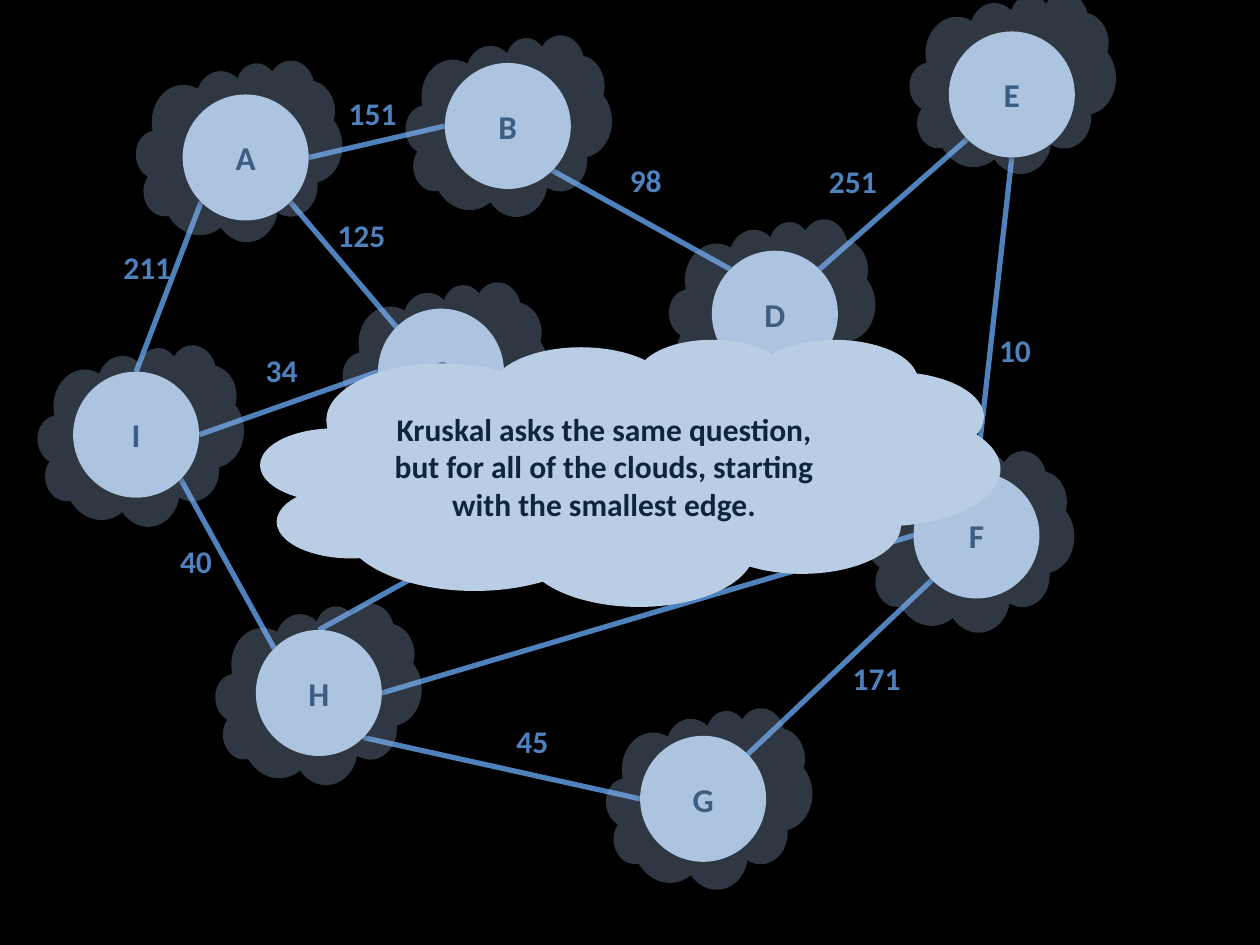
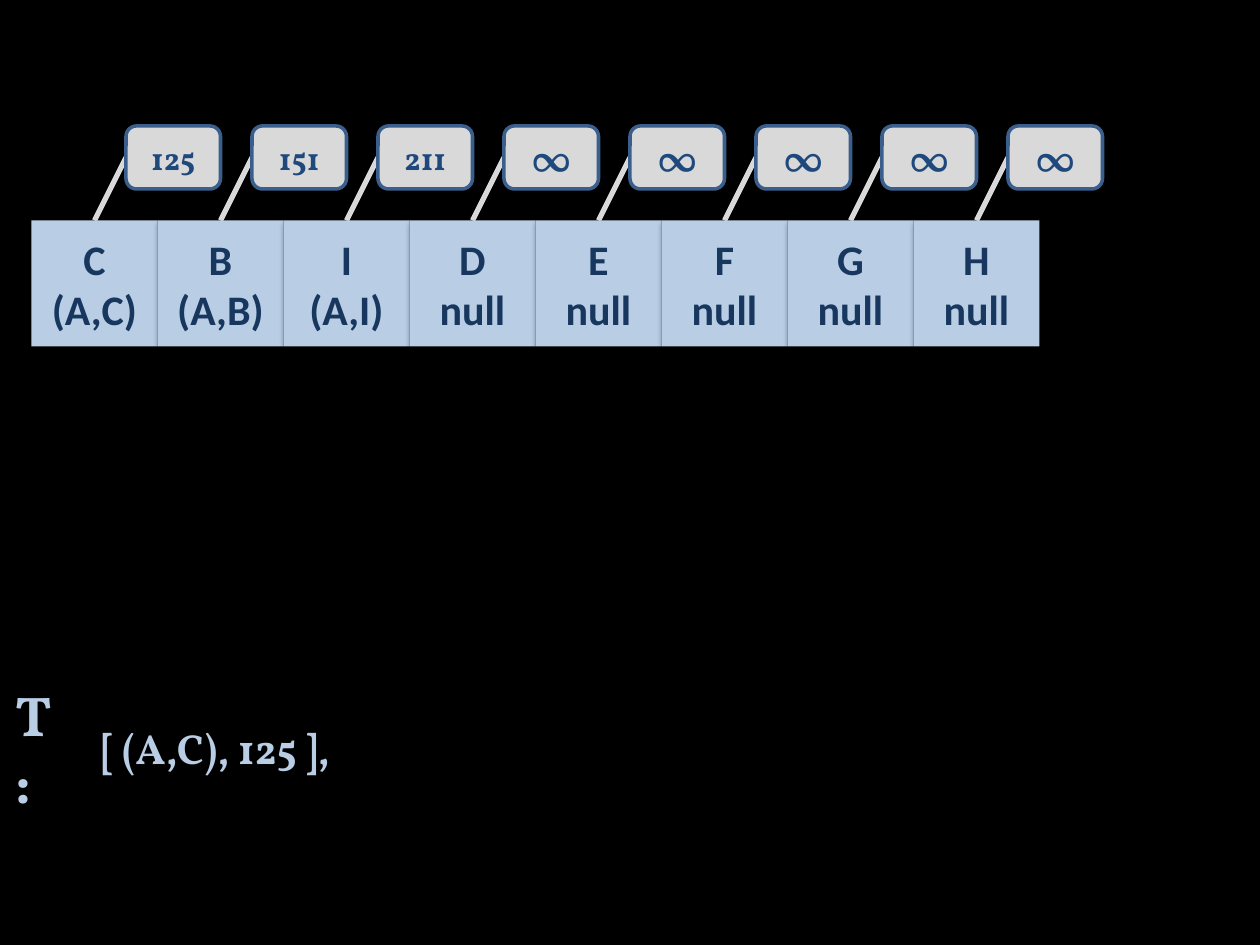
import math
from dataclasses import dataclass

import lxml.etree
import pptx
import pptx.dml.color
import pptx.enum.shapes
import pptx.enum.text
import pptx.oxml.ns
import pptx.util

Pt = pptx.util.Pt
RGBColor = pptx.dml.color.RGBColor
Preset = pptx.enum.shapes.MSO_SHAPE
Anchor = pptx.enum.text.MSO_ANCHOR
Align = pptx.enum.text.PP_ALIGN

# Shared colours, fonts and measures (points)
BLACK = RGBColor(0x00, 0x00, 0x00)
PALE_BLUE = RGBColor(0xB9, 0xCD, 0xE5)
CLOUD_BLUE = RGBColor(0x95, 0xB3, 0xD7)
EDGE_BLUE = RGBColor(0x4F, 0x81, 0xBD)
NAVY = RGBColor(0x17, 0x37, 0x5E)
DEEP_NAVY = RGBColor(0x0F, 0x24, 0x3E)
TAG_GREY = RGBColor(0xD9, 0xD9, 0xD9)
TAG_BORDER = RGBColor(0x3A, 0x5F, 0x8C)
TAG_TEXT = RGBColor(0x1F, 0x49, 0x7D)
SANS = "Calibri"
SERIF = "Vollkorn"
UNIT = 72  # node diameter, queue cell side and queue pitch
RADIUS = UNIT / 2
CLOUD_WIDTH, CLOUD_HEIGHT = 118, 101.5


@dataclass(frozen=True)
class Box:
    left: float
    top: float
    width: float
    height: float

    def emu(self) -> tuple:
        return Pt(self.left), Pt(self.top), Pt(self.width), Pt(self.height)


@dataclass(frozen=True)
class Font:
    name: str
    size: float
    color: RGBColor


@dataclass(frozen=True)
class Node:
    x: float
    y: float
    cloud_x: float
    cloud_y: float

    def rim(self, side: str) -> tuple[float, float]:
        angle = math.radians(RIM_ANGLES[side])
        return self.x + RADIUS * math.cos(angle), self.y + RADIUS * math.sin(angle)


@dataclass(frozen=True)
class Edge:
    start: str
    start_side: str
    end: str
    end_side: str
    weight: str = ""
    label_x: float = 0
    label_y: float = 0


@dataclass(frozen=True)
class QueueEntry:
    vertex: str
    edge: str
    cost: str


RIM_ANGLES = {side: 45 * i for i, side in enumerate(["E", "SE", "S", "SW", "W", "NW", "N", "NE"])}

NODES = {
    "A": Node(140.4, 90, 136.8, 87.5),
    "C": Node(252, 212.4, 254.9, 214.2),
    "G": Node(401.8, 456.5, 405.4, 457.6),
    "D": Node(442.8, 179.3, 441.4, 178.2),
    "I": Node(77.8, 248.4, 80.6, 250.2),
    "F": Node(558, 306, 555.1, 310.7),
    "B": Node(290.2, 72, 290.9, 73.1),
    "E": Node(578.2, 54, 578.9, 48.6),
    "H": Node(182.2, 396, 182.2, 397.8),
}

EDGES = [
    Edge("A", "SE", "C", "NW", "125", 185.8, 120.2),
    Edge("A", "SW", "I", "N", "211", 63.4, 138.2),
    Edge("I", "E", "C", "W", "34", 144.7, 197.3),
    Edge("I", "SE", "H", "NW", "40", 95.8, 306),
    Edge("B", "SE", "D", "NW", "98", 352.8, 88.6),
    Edge("D", "NE", "E", "SW", "251", 466.6, 89.3),
    Edge("E", "S", "F", "N", "10", 563.8, 185.8),
    Edge("F", "SW", "G", "NE", "171", 480.2, 373),
    Edge("F", "W", "H", "E"),
    Edge("D", "S", "H", "N", "236", 275.8, 264.2),
    Edge("H", "SE", "G", "W", "45", 288, 409),
    Edge("B", "W", "A", "E", "151", 192.2, 50.4),
]

QUEUE = [
    QueueEntry("C", "(A,C)", "125"),
    QueueEntry("B", "(A,B)", "151"),
    QueueEntry("I", "(A,I)", "211"),
    *(QueueEntry(vertex, "null", "∞") for vertex in "DEFGH"),
]


# Drawing helpers
def sub(parent, tag: str, **attributes):
    return lxml.etree.SubElement(parent, pptx.oxml.ns.qn(tag), attributes)


def add_soft_shadow(effects) -> None:
    outer = sub(effects, "a:outerShdw", blurRad=str(Pt(3.1)), dist=str(Pt(1.8)),
                dir="5400000", rotWithShape="0")
    sub(sub(outer, "a:srgbClr", val=str(BLACK)), "a:alpha", val="35000")


def write(shape, text: str, font: Font, align=Align.CENTER, anchor=Anchor.MIDDLE) -> None:
    frame = shape.text_frame
    frame.word_wrap = True
    frame.vertical_anchor = anchor
    frame.text = text
    for paragraph in frame.paragraphs:
        paragraph.alignment = align
        for run in paragraph.runs:
            run.font.name = font.name
            run.font.size = Pt(font.size)
            run.font.bold = True
            run.font.color.rgb = font.color


def draw_shape(slide, preset, box: Box, fill: RGBColor, shadow: bool = False):
    shape = slide.shapes.add_shape(preset, *box.emu())
    shape.fill.solid()
    shape.fill.fore_color.rgb = fill
    shape.line.fill.background()
    shape.shadow.inherit = False
    if shadow:
        add_soft_shadow(shape._element.spPr.find(pptx.oxml.ns.qn("a:effectLst")))
    return shape


def draw_line(slide, start: tuple, end: tuple, color: RGBColor) -> None:
    points = [Pt(value) for value in (*start, *end)]
    line = slide.shapes.add_connector(pptx.enum.shapes.MSO_CONNECTOR.STRAIGHT, *points)
    line.line.color.rgb = color
    line.line.width = Pt(3)
    add_soft_shadow(sub(line._element.spPr, "a:effectLst"))


def draw_text(slide, box: Box, text: str, font: Font, anchor=Anchor.MIDDLE, inset: bool = False) -> None:
    label = slide.shapes.add_textbox(*box.emu())
    write(label, text, font, Align.LEFT, anchor)
    if not inset:
        frame = label.text_frame
        frame.margin_left = frame.margin_right = frame.margin_top = frame.margin_bottom = 0


def draw_node_cloud(slide, node: Node) -> None:
    box = Box(node.cloud_x - CLOUD_WIDTH / 2, node.cloud_y - CLOUD_HEIGHT / 2, CLOUD_WIDTH, CLOUD_HEIGHT)
    cloud = draw_shape(slide, Preset.CLOUD, box, CLOUD_BLUE)
    cloud.rotation = 355.4
    color = cloud._element.spPr.find(".//" + pptx.oxml.ns.qn("a:srgbClr"))
    sub(color, "a:alpha", val="31000")


def add_black_slide(deck):
    slide = deck.slides.add_slide(deck.slide_layouts[6])
    slide.background.fill.solid()
    slide.background.fill.fore_color.rgb = BLACK
    return slide


# Slide 1: weighted graph with a cloud around every node
def build_graph(deck) -> None:
    slide = add_black_slide(deck)
    for edge in EDGES:
        draw_line(slide, NODES[edge.start].rim(edge.start_side), NODES[edge.end].rim(edge.end_side), EDGE_BLUE)
    for edge in EDGES:
        if edge.weight:
            draw_text(slide, Box(edge.label_x, edge.label_y, 42, 30), edge.weight,
                      Font(SANS, 18, EDGE_BLUE), Anchor.TOP, inset=True)
    for name, node in NODES.items():
        box = Box(node.x - RADIUS, node.y - RADIUS, UNIT, UNIT)
        circle = draw_shape(slide, Preset.OVAL, box, PALE_BLUE, shadow=True)
        write(circle, name, Font(SANS, 19, NAVY))
    for node in NODES.values():
        draw_node_cloud(slide, node)

    # Remark in front of the graph
    remark = draw_shape(slide, Preset.CLOUD, Box(149, 193.7, 422.6, 152.6), PALE_BLUE)
    write(remark, "Kruskal asks the same question, but for all of the clouds, starting with the smallest edge.",
          Font(SANS, 18, DEEP_NAVY))


# Slide 2: priority queue and tree edges
def build_queue(deck) -> None:
    slide = add_black_slide(deck)
    first_cell, cell_top, first_tag, tag_top = 18, 126, 72, 72
    tag_width, tag_height = 54, 36
    lefts = [i * UNIT for i in range(len(QUEUE))]
    for left in lefts:
        draw_line(slide, (first_tag + left, tag_top + tag_height / 2),
                  (first_cell + left + UNIT / 2, cell_top), TAG_GREY)
    for left, entry in zip(lefts, QUEUE):
        cell = draw_shape(slide, Preset.RECTANGLE, Box(first_cell + left, cell_top, UNIT, UNIT),
                          PALE_BLUE, shadow=True)
        write(cell, f"{entry.vertex}\n{entry.edge}", Font(SANS, 24, NAVY))
        tag = draw_shape(slide, Preset.ROUNDED_RECTANGLE,
                         Box(first_tag + left, tag_top, tag_width, tag_height), TAG_GREY)
        tag.line.color.rgb = TAG_BORDER
        tag.line.width = Pt(2)
        write(tag, entry.cost, Font(SERIF, 24 if entry.cost == "∞" else 18, TAG_TEXT))

    # Tree edges chosen so far
    draw_text(slide, Box(9, 396, 27, 63), "T:", Font(SERIF, 32, PALE_BLUE))
    draw_text(slide, Box(58, 396, 148.5, 63), "[ (A,C), 125 ],", Font(SERIF, 24, PALE_BLUE))


def main() -> None:
    deck = pptx.Presentation()
    deck.slide_width, deck.slide_height = Pt(720), Pt(540)
    build_graph(deck)
    build_queue(deck)
    deck.save("out.pptx")


if __name__ == "__main__":
    main()
